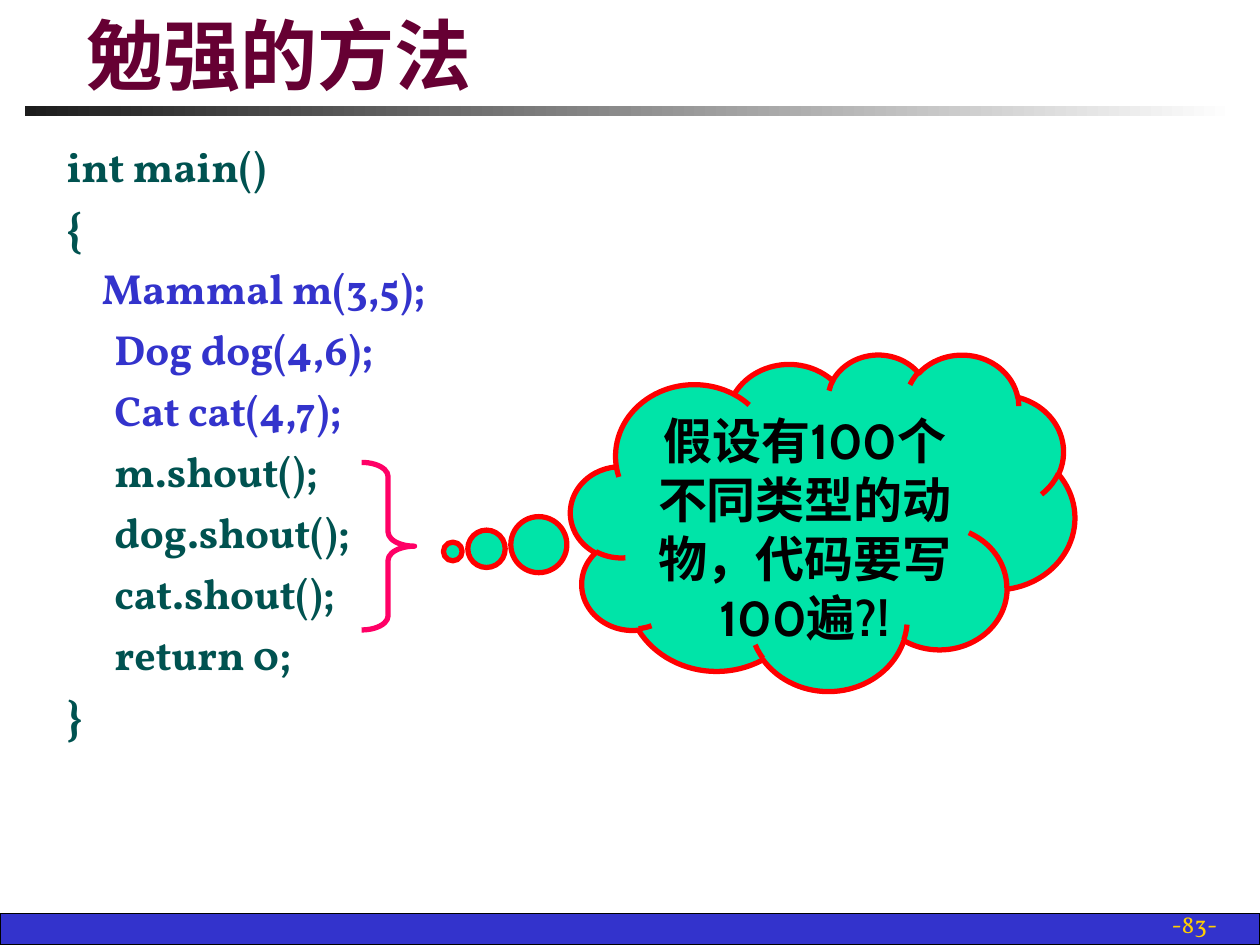
from lxml import etree
from pptx import Presentation
from pptx.dml.color import RGBColor
from pptx.enum import shapes, text
from pptx.oxml import ns
from pptx.util import Inches, Pt

GREEN, BLUE = "005250", "3333CC"
TAB = 0.38

# Code line, left indent in inches, colour
CODE = [
    ("int main()", 0, GREEN),
    ("{", 0, GREEN),
    ("Mammal m(3,5);", 0.28, BLUE),
    ("Dog dog(4,6);", TAB, BLUE),
    ("Cat cat(4,7);", TAB, BLUE),
    ("m.shout();", TAB, GREEN),
    ("dog.shout();", TAB, GREEN),
    ("cat.shout();", TAB, GREEN),
    ("return 0;", TAB, GREEN),
    ("}", 0, GREEN),
]


def colour(value):
    return RGBColor.from_string(value)


def format_paragraph(paragraph, words, font, size, fill, bold=True, align=text.PP_ALIGN.LEFT):
    paragraph.text = words
    paragraph.alignment = align
    paragraph.font.name = font
    paragraph.font.size = Pt(size)
    paragraph.font.bold = bold
    paragraph.font.color.rgb = colour(fill)


def add_shape(slide, kind, box, fill=None, line=None, width=0.75, adjustments=()):
    shape = slide.shapes.add_shape(kind, *map(Inches, box))
    shape.shadow.inherit = False
    for index, value in enumerate(adjustments):
        shape.adjustments[index] = value
    if fill:
        shape.fill.solid()
        shape.fill.fore_color.rgb = colour(fill)
    else:
        shape.fill.background()
    if line:
        shape.line.color.rgb = colour(line)
        shape.line.width = Pt(width)
    else:
        shape.line.fill.background()
    return shape


def add_text_box(slide, box, anchor=text.MSO_ANCHOR.TOP):
    frame = slide.shapes.add_textbox(*map(Inches, box)).text_frame
    frame.word_wrap = True
    frame.vertical_anchor = anchor
    return frame


def fill_gradient(shape, start, end):
    shape.fill.gradient()
    shape.fill.gradient_angle = 0
    for stop, value, position in zip(shape.fill.gradient_stops, (start, end), (0, 1)):
        stop.color.rgb = colour(value)
        stop.position = position


def set_indent_and_spacing(paragraph, indent, percent):
    properties = paragraph._p.get_or_add_pPr()
    properties.set("marL", str(Inches(indent)))
    properties.set("indent", "0")
    before = etree.Element(ns.qn("a:spcBef"))
    etree.SubElement(before, ns.qn("a:spcPct"), val=str(percent * 1000))
    properties.insert(0, before)


def add_title(slide, words):
    title = slide.shapes.title
    title.left, title.top, title.width, title.height = map(Inches, (0.59, 0.13, 8.72, 0.71))
    title.text_frame.vertical_anchor = text.MSO_ANCHOR.BOTTOM
    title.text_frame.auto_size = text.MSO_AUTO_SIZE.NONE
    format_paragraph(title.text_frame.paragraphs[0], words, "Comic Neue", 44, "660033")


def add_code(slide):
    frame = add_text_box(slide, (0.43, 1.07, 9.14, 5.67))
    for index, (words, indent, fill) in enumerate(CODE):
        paragraph = frame.add_paragraph() if index else frame.paragraphs[0]
        format_paragraph(paragraph, words, "Vollkorn", 24, fill)
        set_indent_and_spacing(paragraph, indent, 25)


def add_thought(slide, words):
    cloud = add_shape(slide, shapes.MSO_SHAPE.CLOUD_CALLOUT, (4.53, 2.81, 4, 2.67),
                      "00E4A8", "FF0000", 3, (-0.734, 0.087))
    cloud.text_frame.word_wrap = True
    cloud.text_frame.vertical_anchor = text.MSO_ANCHOR.TOP
    format_paragraph(cloud.text_frame.paragraphs[0], words, "Cabin", 28, "000000",
                     align=text.PP_ALIGN.CENTER)


def main():
    presentation = Presentation()
    presentation.slide_width, presentation.slide_height = Inches(10), Inches(7.5)
    slide = presentation.slides.add_slide(presentation.slide_layouts[5])

    # Footer bar, title rule and page number
    add_shape(slide, shapes.MSO_SHAPE.RECTANGLE, (0, 7.25, 10, 0.25), BLUE, "000000")
    rule = add_shape(slide, shapes.MSO_SHAPE.RECTANGLE, (0.2, 0.84, 9.61, 0.08))
    fill_gradient(rule, "1C1C1C", "FFFFFF")
    number = add_text_box(slide, (7.68, 7.17, 2.08, 0.33), text.MSO_ANCHOR.BOTTOM)
    format_paragraph(number.paragraphs[0], "-83-", "Vollkorn", 14, "FFCF01",
                     bold=False, align=text.PP_ALIGN.RIGHT)

    # Title and program
    add_title(slide, "勉强的方法")
    add_code(slide)

    # Remark on the three repeated calls
    add_thought(slide, "假设有100个不同类型的动物，代码要写100遍?!")
    add_shape(slide, shapes.MSO_SHAPE.RIGHT_BRACE, (2.87, 3.67, 0.42, 1.33),
              line="FF0066", width=3, adjustments=(0.267, 0.5))

    presentation.save("out.pptx")


if __name__ == "__main__":
    main()
